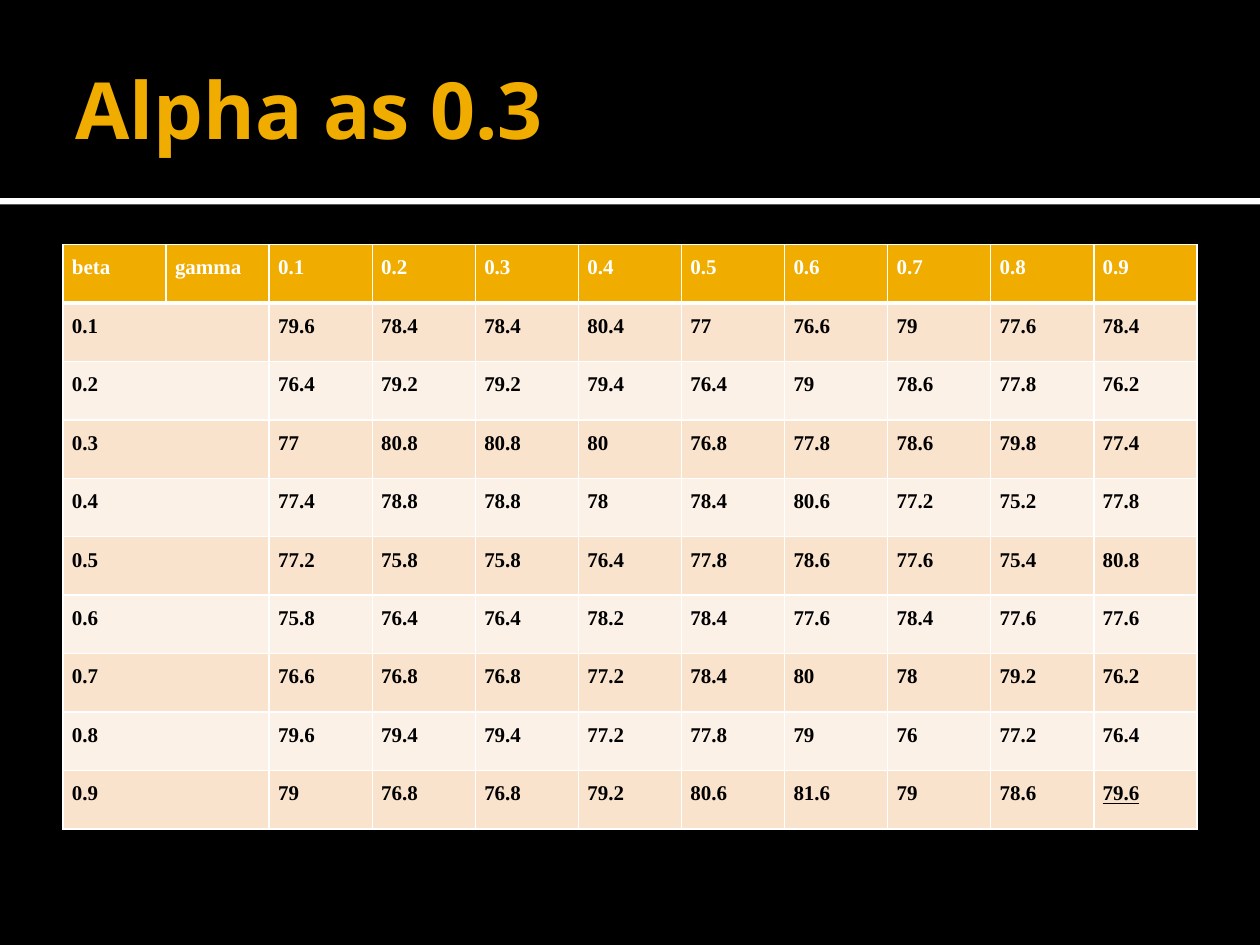
import dataclasses

import lxml.etree
import pptx
import pptx.dml.color
import pptx.enum.shapes
import pptx.enum.text
import pptx.oxml.ns
import pptx.util

Cm, Pt = pptx.util.Cm, pptx.util.Pt
BLACK, WHITE, GOLD = "000000", "FFFFFF", "F0AD00"
BANDS = ("F9E3CC", "FCF1E7")


@dataclasses.dataclass
class Box:
    left: float
    top: float
    width: float
    height: float

    def place(self) -> tuple:
        return Cm(self.left), Cm(self.top), Cm(self.width), Cm(self.height)


@dataclasses.dataclass
class CellStyle:
    fill: str
    color: str
    top: float = 1
    bottom: float = 1
    underline: bool = False


def rgb(value: str) -> pptx.dml.color.RGBColor:
    return pptx.dml.color.RGBColor.from_string(value)


def add_run(p, text: str, font: str, size: float, color: str):
    r = p.add_run()
    r.text = text
    r.font.name, r.font.size, r.font.bold = font, Pt(size), True
    r.font.color.rgb = rgb(color)
    return r


def add_bar(s, box: Box, color: str) -> None:
    sp = s.shapes.add_shape(pptx.enum.shapes.MSO_SHAPE.RECTANGLE, *box.place())
    sp.shadow.inherit = False
    sp.fill.solid()
    sp.fill.fore_color.rgb = rgb(color)
    sp.line.fill.background()


def add_title(s, box: Box, text: str) -> None:
    tf = s.shapes.add_textbox(*box.place()).text_frame
    tf.word_wrap = True
    tf.vertical_anchor = pptx.enum.text.MSO_ANCHOR.MIDDLE
    tf.margin_left = Cm(0.25)
    tf.margin_right = tf.margin_top = tf.margin_bottom = Cm(0.13)
    add_run(tf.paragraphs[0], text, "Open Sans", 45, GOLD)


def add_border(cell, side: str, width: float) -> None:
    qn = pptx.oxml.ns.qn
    tc_pr = cell._tc.get_or_add_tcPr()
    ln = lxml.etree.SubElement(tc_pr, qn(f"a:ln{side}"), w=str(Pt(width)))
    fill = lxml.etree.SubElement(ln, qn("a:solidFill"))
    lxml.etree.SubElement(fill, qn("a:srgbClr"), val=WHITE)


def style_cell(cell, text: str, style: CellStyle) -> None:
    widths = {"L": 1, "R": 1, "T": style.top, "B": style.bottom}
    for side, width in widths.items():
        add_border(cell, side, width)
    cell.fill.solid()
    cell.fill.fore_color.rgb = rgb(style.fill)
    cell.margin_left = cell.margin_right = Cm(0.18)
    cell.margin_top = cell.margin_bottom = 0
    if text:
        p = cell.text_frame.paragraphs[0]
        p.alignment = pptx.enum.text.PP_ALIGN.JUSTIFY
        p.line_spacing = 1.5
        p.space_after = Pt(10)
        r = add_run(p, text, "Times New Roman", 12, style.color)
        if style.underline:
            r.font.underline = True


def add_grid(s, box: Box, rows: list[list[str]]) -> None:
    n_rows, n_cols = len(rows), len(rows[0])
    table = s.shapes.add_table(n_rows, n_cols, *box.place()).table
    for col in table.columns:
        col.width = Cm(box.width / n_cols)
    for i, row in enumerate(rows):
        table.rows[i].height = Cm(box.height / n_rows)
        for j, text in enumerate(row):
            if i == 0:
                style = CellStyle(GOLD, WHITE, bottom=3)
            else:
                style = CellStyle(BANDS[(i - 1) % 2], BLACK, top=3 if i == 1 else 1)
            style.underline = (i, j) == (n_rows - 1, n_cols - 1)
            style_cell(table.cell(i, j), text, style)
        if i > 0:
            table.cell(i, 0).merge(table.cell(i, 1))


# Values for each beta (rows) and gamma (columns)
VALUES = """
79.6 78.4 78.4 80.4 77 76.6 79 77.6 78.4
76.4 79.2 79.2 79.4 76.4 79 78.6 77.8 76.2
77 80.8 80.8 80 76.8 77.8 78.6 79.8 77.4
77.4 78.8 78.8 78 78.4 80.6 77.2 75.2 77.8
77.2 75.8 75.8 76.4 77.8 78.6 77.6 75.4 80.8
75.8 76.4 76.4 78.2 78.4 77.6 78.4 77.6 77.6
76.6 76.8 76.8 77.2 78.4 80 78 79.2 76.2
79.6 79.4 79.4 77.2 77.8 79 76 77.2 76.4
79 76.8 76.8 79.2 80.6 81.6 79 78.6 79.6
"""
steps = [f"0.{n}" for n in range(1, 10)]
rows = [["beta", "gamma", *steps]]
rows += [[beta, "", *line.split()]
         for beta, line in zip(steps, VALUES.strip().splitlines())]

# Slide and background
prs = pptx.Presentation()
prs.slide_width, prs.slide_height = Cm(25.4), Cm(19.05)
s = prs.slides.add_slide(prs.slide_layouts[6])
s.background.fill.solid()
s.background.fill.fore_color.rgb = rgb(BLACK)

# Title band and rule
add_bar(s, Box(0, 3.99, 25.4, 0.13), WHITE)
add_bar(s, Box(0, 0, 25.4, 3.99), BLACK)
add_title(s, Box(1.27, 0.43, 22.86, 3.48), "Alpha as 0.3")

# Beta and gamma table
add_grid(s, Box(1.27, 4.93, 22.86, 11.79), rows)

prs.save("out.pptx")
